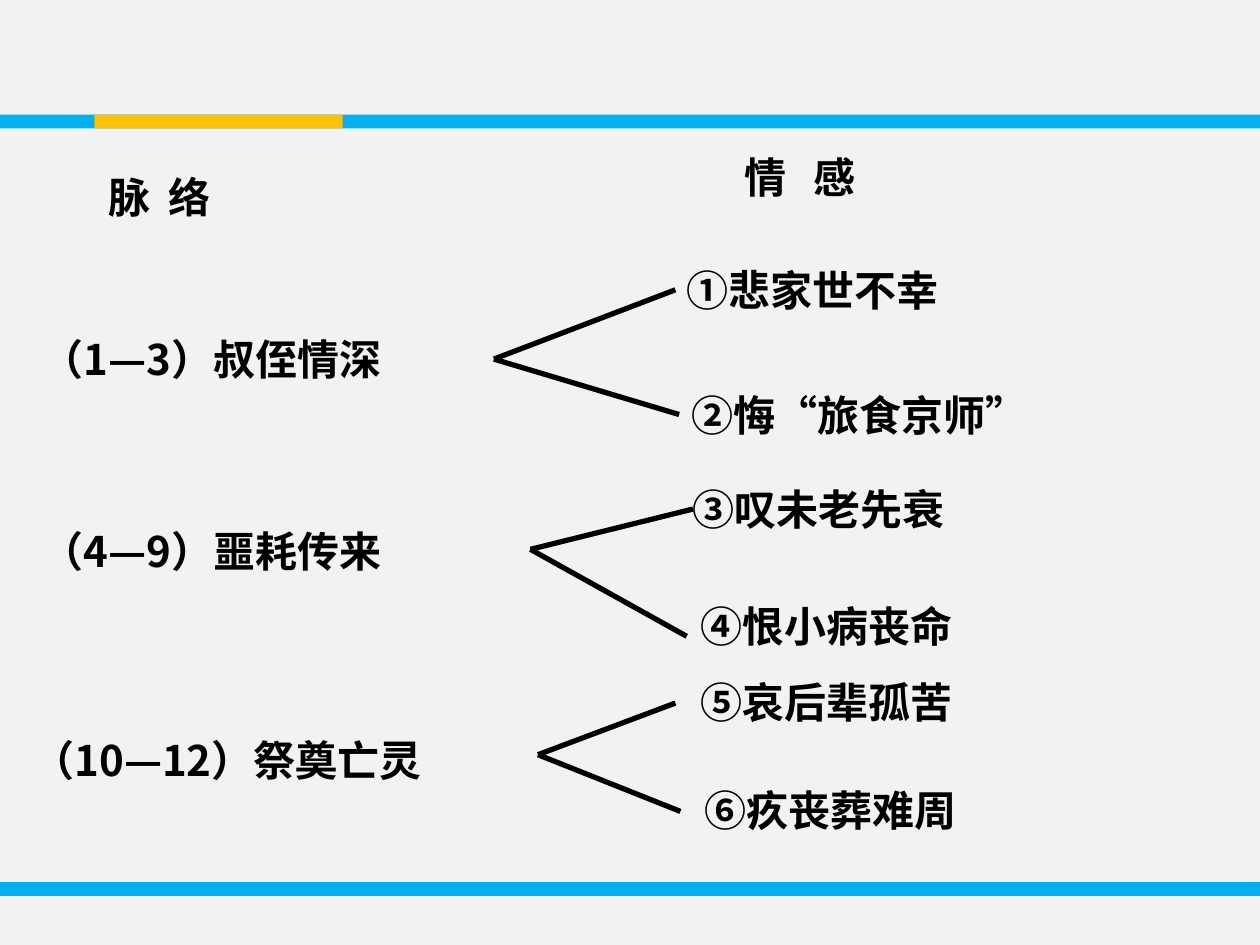
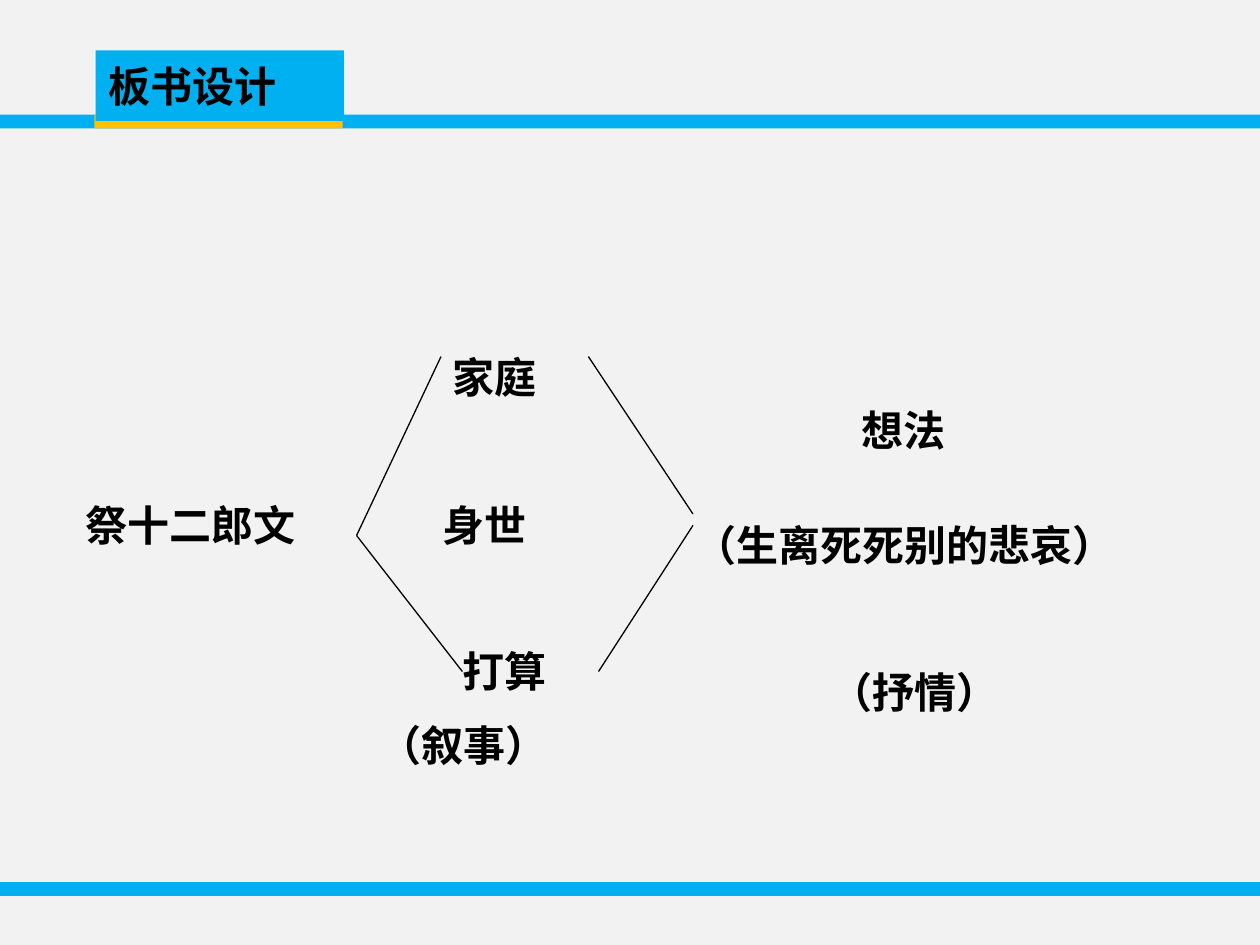
"""Build two lesson slides on the structure and feelings of an elegy."""
from dataclasses import dataclass

from lxml.etree import SubElement
from pptx import Presentation
from pptx.dml.color import RGBColor
from pptx.enum.shapes import MSO_CONNECTOR, MSO_SHAPE
from pptx.enum.text import MSO_ANCHOR, MSO_AUTO_SIZE, PP_ALIGN
from pptx.oxml.ns import qn
from pptx.presentation import Presentation as Deck
from pptx.shapes.autoshape import Shape
from pptx.slide import Slide
from pptx.util import Emu, Pt

EMU_PER_PX = 9144
SLIDE_W, SLIDE_H = 1000, 750
FONT, TEXT_SIZE = "Noto Sans CJK SC", 24
PAPER, BLUE, GOLD, BLACK = "F2F2F2", "00B0F0", "FFC000", "000000"
TITLE_ONLY, BLANK = 5, 6


@dataclass(frozen=True)
class Band:
    left: int
    top: int
    width: int
    color: str
    height: int = 11


@dataclass(frozen=True)
class Label:
    text: str
    left: int
    top: int
    width: int
    tab: int = 0


@dataclass(frozen=True)
class Fan:
    apex: tuple[int, int]
    tips: tuple[tuple[int, int], ...]


@dataclass(frozen=True)
class Diagram:
    labels: tuple[Label, ...]
    fans: tuple[Fan, ...]
    line_width: float
    label_height: int
    inset_x: int
    inset_y: int


BANDS = (
    Band(0, 700, SLIDE_W, BLUE),
    Band(0, 91, SLIDE_W, BLUE),
    Band(75, 91, 197, GOLD),
)

FEELINGS = Diagram(
    labels=(
        Label("脉\t络", 76, 131, 291, tab=48),
        Label("情\t感", 581, 115, 333, tab=55),
        Label("（1—3）叔侄情深", 23, 260, 369),
        Label("①悲家世不幸", 535, 205, 358),
        Label("②悔“旅食京师”", 539, 304, 375),
        Label("（4—9）噩耗传来", 23, 412, 328),
        Label("③叹未老先衰", 540, 379, 383),
        Label("④恨小病丧命", 546, 472, 367),
        Label("（10—12）祭奠亡灵", 16, 578, 350),
        Label("⑤哀后辈孤苦", 546, 532, 392),
        Label("⑥疚丧葬难周", 549, 618, 367),
    ),
    fans=(
        Fan((392, 285), ((536, 230), (539, 329))),
        Fan((421, 436), ((550, 404), (545, 505))),
        Fan((427, 599), ((536, 558), (540, 644))),
    ),
    line_width=3, label_height=50, inset_x=10, inset_y=5,
)

BOARD = Diagram(
    labels=(
        Label("祭十二郎文", 59, 392, 193),
        Label("家庭", 350, 275, 183),
        Label("身世", 342, 392, 158),
        Label("打算", 358, 508, 150),
        Label("（叙事）", 292, 567, 250),
        Label("想法", 675, 317, 175),
        Label("（生离死死别的悲哀）", 542, 408, 433),
        Label("（抒情）", 650, 525, 250),
    ),
    fans=(
        Fan((283, 425), ((350, 283), (367, 533))),
        Fan((550, 408), ((467, 283),)),
        Fan((550, 417), ((475, 533),)),
    ),
    line_width=0.75, label_height=49, inset_x=9, inset_y=4,
)


def px(n: int) -> Emu:
    """Turn pixels into EMU."""
    return Emu(n * EMU_PER_PX)


def rgb(color: str) -> RGBColor:
    """Turn a hex string into a colour."""
    return RGBColor.from_string(color)


def write(sp: Shape, text: str, inset_x: int, inset_y: int, tab: int = 0) -> None:
    """Put one bold left-aligned line of text in a shape."""
    tf = sp.text_frame
    tf.text = text
    tf.word_wrap = True
    tf.margin_left = tf.margin_right = px(inset_x)
    tf.margin_top = tf.margin_bottom = px(inset_y)
    p = tf.paragraphs[0]
    p.alignment = PP_ALIGN.LEFT
    p.space_before = Pt(0)
    if tab:
        p_pr = next(sp.element.iter(qn("a:pPr")))
        tabs = SubElement(p_pr, qn("a:tabLst"))
        SubElement(tabs, qn("a:tab"), pos=str(px(tab)), algn="l")
    p.font.size, p.font.bold, p.font.name = Pt(TEXT_SIZE), True, FONT
    p.font.color.rgb = rgb(BLACK)
    for r_pr in sp.element.iter(qn("a:defRPr")):
        SubElement(r_pr, qn("a:ea"), typeface=FONT)


def add_master_band(prs: Deck, s: Slide, band: Band) -> None:
    """Draw a band and move it to the slide master."""
    sp = s.shapes.add_shape(MSO_SHAPE.RECTANGLE, px(band.left), px(band.top),
                            px(band.width), px(band.height))
    sp.shadow.inherit = False
    sp.fill.solid()
    sp.fill.fore_color.rgb = rgb(band.color)
    sp.line.fill.background()
    prs.slide_master.shapes.element.append(sp.element)


def add_fan(s: Slide, fan: Fan, width: float) -> None:
    """Draw straight lines from an apex to each tip."""
    for tip in fan.tips:
        line = s.shapes.add_connector(MSO_CONNECTOR.STRAIGHT,
                                      *map(px, fan.apex), *map(px, tip))
        line.line.color.rgb = rgb(BLACK)
        line.line.width = Pt(width)
        SubElement(line.element.spPr, qn("a:effectLst"))


def add_diagram(s: Slide, diagram: Diagram) -> None:
    """Draw the labels and fans of a diagram."""
    for label in diagram.labels:
        sp = s.shapes.add_textbox(px(label.left), px(label.top), px(label.width),
                                  px(diagram.label_height))
        write(sp, label.text, diagram.inset_x, diagram.inset_y, label.tab)
        sp.text_frame.auto_size = MSO_AUTO_SIZE.SHAPE_TO_FIT_TEXT
    for fan in diagram.fans:
        add_fan(s, fan, diagram.line_width)


def set_title(s: Slide, text: str) -> None:
    """Format the title as a blue tab standing on the top band."""
    sp = s.shapes.title
    sp.left, sp.top, sp.width, sp.height = px(76), px(40), px(197), px(56)
    sp.fill.solid()
    sp.fill.fore_color.rgb = rgb(BLUE)
    write(sp, text, 10, 5)
    sp.text_frame.auto_size = MSO_AUTO_SIZE.NONE
    sp.text_frame.vertical_anchor = MSO_ANCHOR.MIDDLE


def main() -> None:
    """Build and save the presentation."""
    prs = Presentation()
    prs.slide_width, prs.slide_height = px(SLIDE_W), px(SLIDE_H)
    fill = prs.slide_master.background.fill
    fill.solid()
    fill.fore_color.rgb = rgb(PAPER)

    s = prs.slides.add_slide(prs.slide_layouts[BLANK])
    for band in BANDS:
        add_master_band(prs, s, band)
    add_diagram(s, FEELINGS)

    s = prs.slides.add_slide(prs.slide_layouts[TITLE_ONLY])
    set_title(s, "板书设计")
    add_diagram(s, BOARD)
    prs.save("out.pptx")


if __name__ == "__main__":
    main()
